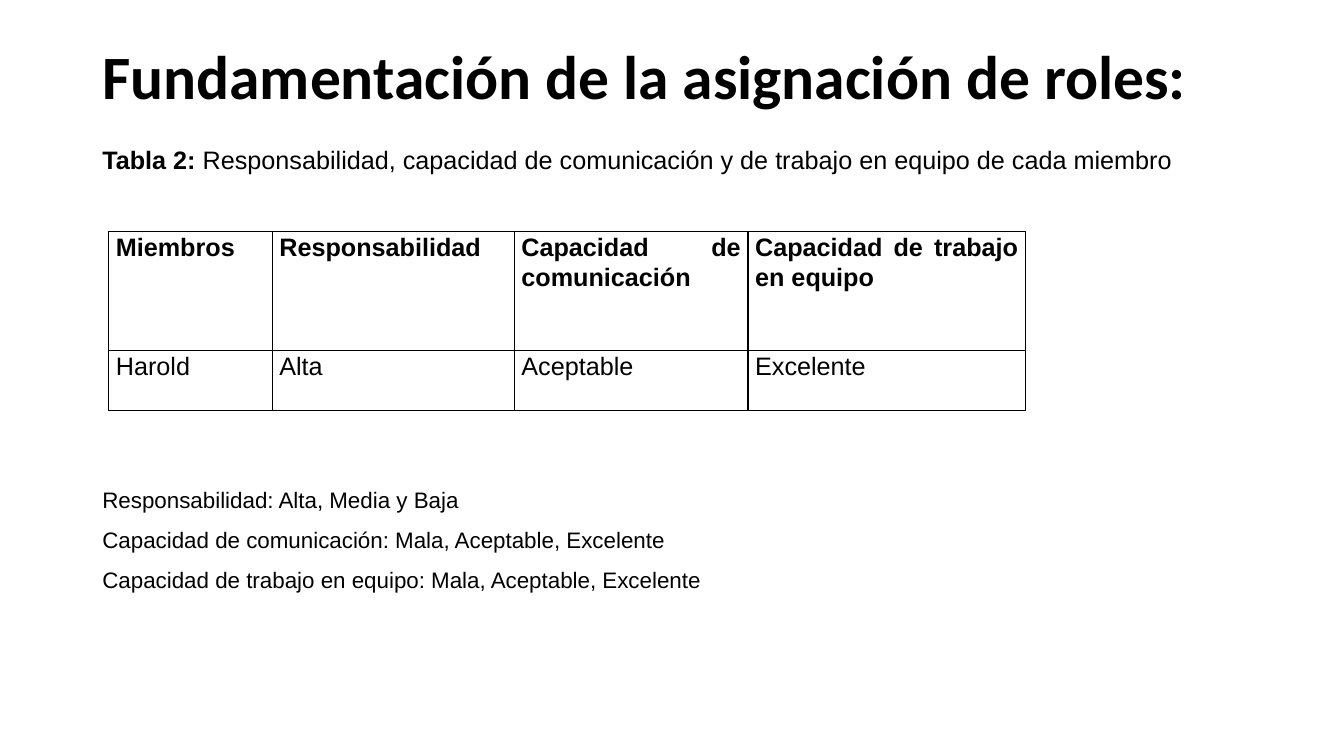
from dataclasses import dataclass

import lxml.etree
import pptx
import pptx.dml.color
import pptx.enum.text
import pptx.oxml.ns
import pptx.util

Cm = pptx.util.Cm
Pt = pptx.util.Pt
ALIGN = pptx.enum.text.PP_ALIGN

COLORS = {"ink": "000000", "paper": "FFFFFF"}
MARGIN_LEFT = 2.33


@dataclass(frozen=True)
class TextStyle:
    """Character and paragraph settings of one kind of text."""

    size: float
    font: str = "Arial"
    bold: bool = False
    align: ALIGN = ALIGN.JUSTIFY
    line_spacing: float = 1.07
    space_after: float = 0


@dataclass(frozen=True)
class TextBlock:
    """A text box: its top, width and height in cm, and its paragraphs.

    Each paragraph is a tuple of (words, bold) runs.
    """

    top: float
    width: float
    height: float
    style: TextStyle
    paragraphs: tuple[tuple[tuple[str, bool | None], ...], ...]


HEADING = TextStyle(44, "Calibri", True, ALIGN.LEFT, 0.9)
CAPTION = TextStyle(18, space_after=8)
SCALE = TextStyle(16, space_after=8)
HEADER_CELL = TextStyle(18, bold=True)
BODY_CELL = TextStyle(18)

BLOCKS = (
    TextBlock(1.03, 29.21, 1.95, HEADING,
              ((("Fundamentación de la asignación de roles:", None),),)),
    TextBlock(3.45, 28.63, 1.09, CAPTION,
              ((("Tabla 2:", True),
                (" Responsabilidad, capacidad de comunicación y de trabajo"
                 " en equipo de cada miembro", None)),)),
    TextBlock(12.09, 16.94, 3, SCALE,
              ((("Responsabilidad: Alta, Media y Baja", None),),
               (("Capacidad de comunicación: Mala, Aceptable, Excelente", None),),
               (("Capacidad de trabajo en equipo: Mala, Aceptable, Excelente", None),))),
)

MEMBER_ROWS = (
    ("Miembros", "Responsabilidad", "Capacidad de comunicación",
     "Capacidad de trabajo en equipo"),
    ("Harold", "Alta", "Aceptable", "Excelente"),
)
COLUMN_WIDTHS = (4.12, 6.1, 5.89, 6.99)
ROW_HEIGHTS = (3, 1.5)


def rgb(name: str) -> pptx.dml.color.RGBColor:
    """Return a named colour."""
    return pptx.dml.color.RGBColor.from_string(COLORS[name])


def apply_style(paragraph, style: TextStyle) -> None:
    """Give a paragraph its font, alignment and spacing."""
    paragraph.font.size = Pt(style.size)
    paragraph.font.name = style.font
    paragraph.font.bold = style.bold
    paragraph.font.color.rgb = rgb("ink")
    paragraph.alignment = style.align
    paragraph.line_spacing = style.line_spacing
    paragraph.space_after = Pt(style.space_after)


def add_block(slide, block: TextBlock) -> None:
    """Add one text block at the left margin."""
    frame = slide.shapes.add_textbox(
        Cm(MARGIN_LEFT), Cm(block.top), Cm(block.width), Cm(block.height)
    ).text_frame
    frame.word_wrap = True
    for index, runs in enumerate(block.paragraphs):
        paragraph = frame.add_paragraph() if index else frame.paragraphs[0]
        for words, bold in runs:
            run = paragraph.add_run()
            run.text = words
            run.font.bold = bold
        apply_style(paragraph, block.style)


def add_borders(cell) -> None:
    """Draw a thin line on all four sides of a cell."""
    qn = pptx.oxml.ns.qn
    properties = cell._tc.get_or_add_tcPr()
    for position, side in enumerate(("a:lnL", "a:lnR", "a:lnT", "a:lnB")):
        line = lxml.etree.Element(qn(side), w=str(Pt(1)))
        fill = lxml.etree.SubElement(line, qn("a:solidFill"))
        lxml.etree.SubElement(fill, qn("a:srgbClr"), val=COLORS["ink"])
        properties.insert(position, line)


def fill_cell(cell, words: str, style: TextStyle) -> None:
    """Write and format one table cell."""
    cell.margin_left = cell.margin_right = Cm(0.18)
    cell.margin_top = cell.margin_bottom = 0
    cell.text = words
    apply_style(cell.text_frame.paragraphs[0], style)
    cell.fill.background()
    add_borders(cell)


def add_member_table(slide) -> None:
    """Add the table that rates each member."""
    members = slide.shapes.add_table(
        len(ROW_HEIGHTS), len(COLUMN_WIDTHS), Cm(2.74), Cm(5.84),
        Cm(sum(COLUMN_WIDTHS)), Cm(sum(ROW_HEIGHTS))
    ).table
    members.first_row = members.horz_banding = False
    for column, width in zip(members.columns, COLUMN_WIDTHS):
        column.width = Cm(width)
    for row, height, entries in zip(members.rows, ROW_HEIGHTS, MEMBER_ROWS):
        row.height = Cm(height)
        style = HEADER_CELL if entries is MEMBER_ROWS[0] else BODY_CELL
        for cell, words in zip(row.cells, entries):
            fill_cell(cell, words, style)


def main() -> None:
    """Build and save the slide."""
    deck = pptx.Presentation()
    deck.slide_width, deck.slide_height = Cm(33.87), Cm(19.05)
    slide = deck.slides.add_slide(deck.slide_layouts[6])
    slide.background.fill.solid()
    slide.background.fill.fore_color.rgb = rgb("paper")
    add_member_table(slide)
    for block in BLOCKS:
        add_block(slide, block)
    deck.save("out.pptx")


main()
